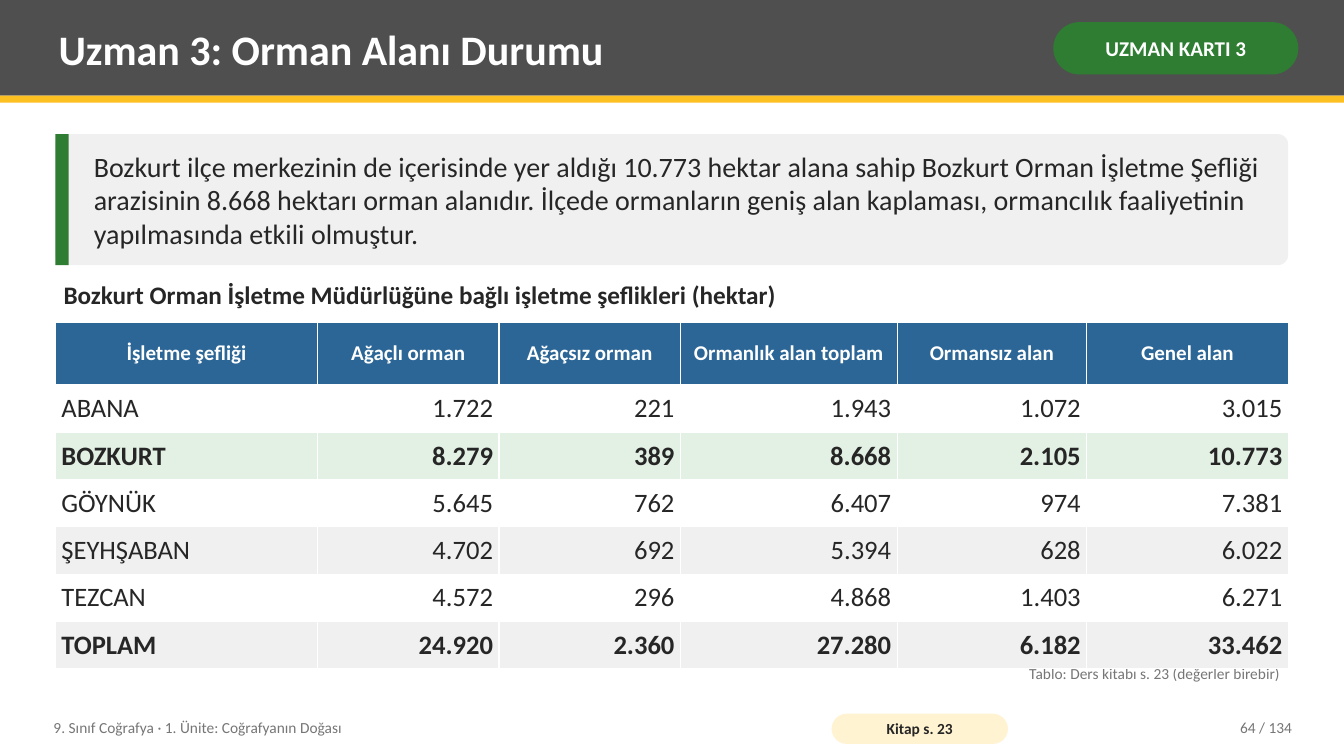
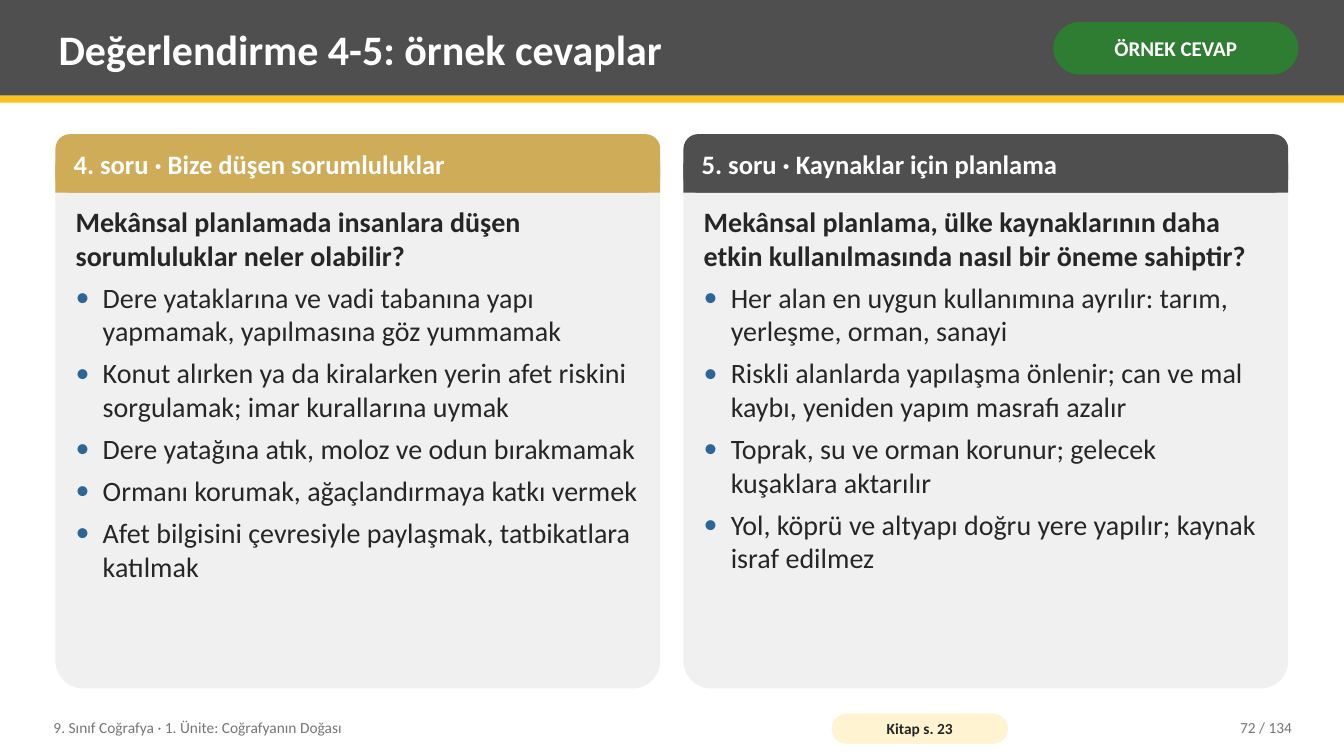
import pptx
import pptx.dml.color
import pptx.enum.shapes
import pptx.enum.text
import pptx.oxml
import pptx.oxml.ns
import pptx.util

Pt = pptx.util.Pt
rgb = pptx.dml.color.RGBColor.from_string
Shape = pptx.enum.shapes.MSO_SHAPE
Align = pptx.enum.text.PP_ALIGN
Anchor = pptx.enum.text.MSO_ANCHOR
NAMESPACE = pptx.oxml.ns.nsdecls("a")

# Shared style
FONT = "Calibri"
DARK, YELLOW, GREEN, BLUE = "4F4F4F", "FCC021", "2E7D32", "2C6696"
GOLD, CREAM, MINT, PALE = "CEAC58", "FFF3D1", "E3F1E4", "F0F0F0"
INK, GREY, WHITE = "262626", "767676", "FFFFFF"
MARGIN, CONTENT_WIDTH, CONTENT_TOP = 39.6, 880.6, 95.8


def add_shape(page, area, fill, rounding=None):
    """Add a plain filled rectangle, rounded when a rounding is given."""
    kind = Shape.RECTANGLE if rounding is None else Shape.ROUNDED_RECTANGLE
    box = page.shapes.add_shape(kind, *map(Pt, area))
    if rounding is not None:
        box.adjustments[0] = rounding
    box.shadow.inherit = False
    box.fill.solid()
    box.fill.fore_color.rgb = rgb(fill)
    box.line.fill.background()
    return box


def write(box, lines, size, color=INK, bold=False, align=Align.LEFT,
          anchor=Anchor.MIDDLE, insets=(5.8, 2.9)):
    """Fill a shape, placeholder or table cell with text in one style."""
    frame = box.text_frame
    frame.text = "\n".join(lines)
    owner = frame if hasattr(frame, "auto_size") and hasattr(box, "shape_type") else box
    owner.margin_left = owner.margin_right = Pt(insets[0])
    owner.margin_top = owner.margin_bottom = Pt(insets[1])
    owner.vertical_anchor = anchor
    if owner is frame:
        frame.word_wrap = True
        frame.auto_size = pptx.enum.text.MSO_AUTO_SIZE.NONE
    for para in frame.paragraphs:
        para.alignment = align
        para.space_before = Pt(0)
        para.font.name = FONT
        para.font.size = Pt(size)
        para.font.bold = bold
        para.font.color.rgb = rgb(color)


deck = pptx.Presentation()
deck.slide_width, deck.slide_height = Pt(960), Pt(540)

# Header and footer of every slide
TITLE_ONLY, TWO_CONTENT = 5, 3
pages = []
for layout, title_text, badge_text, number in [
    (TITLE_ONLY, "Uzman 3: Orman Alanı Durumu", "UZMAN KARTI 3", 64),
    (TWO_CONTENT, "Değerlendirme 4-5: örnek cevaplar", "ÖRNEK CEVAP", 72),
]:
    page = deck.slides.add_slide(deck.slide_layouts[layout])
    pages.append(page)
    add_shape(page, (0, 0, 960, 68.4), DARK)
    add_shape(page, (0, 68.4, 960, 5), YELLOW)

    title = page.shapes.title
    page.shapes.element.append(title.element)  # in front of the band
    title.left, title.top, title.width, title.height = map(Pt, (36, 5, 702, 59))
    write(title, [title_text], 30, WHITE, bold=True)

    badge = add_shape(page, (752.4, 15.8, 175, 37.4), GREEN, 0.5)
    write(badge, [badge_text], 15, WHITE, True, Align.CENTER, insets=(3.6, 1.4))

    for left, width, text, align in [
        (32.4, 547.2, "9. Sınıf Coğrafya · 1. Ünite: Coğrafyanın Doğası", Align.LEFT),
        (813.6, 115.2, f"{number} / 134", Align.RIGHT),
    ]:
        footer = page.shapes.add_textbox(Pt(left), Pt(506.9), Pt(width), Pt(25.9))
        write(footer, [text], 11, GREY, align=align)
    source = add_shape(page, (594, 509.8, 126, 21.6), CREAM, 0.5)
    write(source, ["Kitap s. 23"], 11, INK, True, Align.CENTER, insets=(2.9, 0))

forest_page, answer_page = pages

# Forest slide: introduction, table heading and table source
add_shape(forest_page, (MARGIN, CONTENT_TOP, CONTENT_WIDTH, 93.6), PALE, 0.08)
add_shape(forest_page, (MARGIN, CONTENT_TOP, 9.4, 93.6), GREEN)
introduction = (
    "Bozkurt ilçe merkezinin de içerisinde yer aldığı 10.773 hektar alana sahip "
    "Bozkurt Orman İşletme Şefliği arazisinin 8.668 hektarı orman alanıdır. "
    "İlçede ormanların geniş alan kaplaması, ormancılık faaliyetinin "
    "yapılmasında etkili olmuştur."
)
heading = "Bozkurt Orman İşletme Müdürlüğüne bağlı işletme şeflikleri (hektar)"
table_source = "Tablo: Ders kitabı s. 23 (değerler birebir)"
for area, text, size, color, bold, align, anchor in [
    ((61.2, CONTENT_TOP, 848.2, 93.6), introduction, 20, INK, False, Align.LEFT, Anchor.MIDDLE),
    ((MARGIN, 196.6, CONTENT_WIDTH, 32.4), heading, 18, INK, True, Align.LEFT, Anchor.TOP),
    ((MARGIN, 471.6, CONTENT_WIDTH, 21.6), table_source, 11, GREY, False, Align.RIGHT, Anchor.TOP),
]:
    box = forest_page.shapes.add_textbox(*map(Pt, area))
    write(box, [text], size, color, bold, align, anchor)

# Forest slide: table
rows = [
    ("İşletme şefliği", "Ağaçlı orman", "Ağaçsız orman",
     "Ormanlık alan toplam", "Ormansız alan", "Genel alan"),
    ("ABANA", "1.722", "221", "1.943", "1.072", "3.015"),
    ("BOZKURT", "8.279", "389", "8.668", "2.105", "10.773"),
    ("GÖYNÜK", "5.645", "762", "6.407", "974", "7.381"),
    ("ŞEYHŞABAN", "4.702", "692", "5.394", "628", "6.022"),
    ("TEZCAN", "4.572", "296", "4.868", "1.403", "6.271"),
    ("TOPLAM", "24.920", "2.360", "27.280", "6.182", "33.462"),
]
column_widths = [187.2, 129.6, 129.6, 154.8, 135.4, 144]
row_fills = [BLUE, WHITE, MINT, WHITE, PALE, WHITE, PALE]
bold_rows = {0, 2, 6}
table = forest_page.shapes.add_table(
    len(rows), len(column_widths),
    Pt(MARGIN), Pt(230.4), Pt(CONTENT_WIDTH), Pt(247.4)).table
table.horz_banding = False
for column, width in zip(table.columns, column_widths):
    column.width = Pt(width)
for row_index, values in enumerate(rows):
    is_header = row_index == 0
    table.rows[row_index].height = Pt(44.6 if is_header else 33.8)
    for column_index, value in enumerate(values):
        cell = table.cell(row_index, column_index)
        if is_header:
            align = Align.CENTER
        else:
            align = Align.RIGHT if column_index else Align.LEFT
        write(cell, [value], 15 if is_header else 19, WHITE if is_header else INK,
              row_index in bold_rows, align, insets=(4.3, 3.6))
        properties = cell._tc.get_or_add_tcPr()
        for side in ("lnL", "lnR", "lnT", "lnB"):
            properties.append(pptx.oxml.parse_xml(
                f'<a:{side} {NAMESPACE} w="12192"><a:solidFill>'
                f'<a:srgbClr val="{WHITE}"/></a:solidFill></a:{side}>'))
        cell.fill.solid()
        cell.fill.fore_color.rgb = rgb(row_fills[row_index])

# Answer slide: one card per question
CARD_WIDTH, CARD_HEIGHT, CARD_HEADER = 432, 396, 41.8
cards = [
    ("4. soru · Bize düşen sorumluluklar", GOLD, [
        "Mekânsal planlamada insanlara düşen sorumluluklar neler olabilir?",
        "Dere yataklarına ve vadi tabanına yapı yapmamak, yapılmasına göz yummamak",
        "Konut alırken ya da kiralarken yerin afet riskini sorgulamak; imar kurallarına uymak",
        "Dere yatağına atık, moloz ve odun bırakmamak",
        "Ormanı korumak, ağaçlandırmaya katkı vermek",
        "Afet bilgisini çevresiyle paylaşmak, tatbikatlara katılmak",
    ]),
    ("5. soru · Kaynaklar için planlama", DARK, [
        "Mekânsal planlama, ülke kaynaklarının daha etkin kullanılmasında "
        "nasıl bir öneme sahiptir?",
        "Her alan en uygun kullanımına ayrılır: tarım, yerleşme, orman, sanayi",
        "Riskli alanlarda yapılaşma önlenir; can ve mal kaybı, yeniden yapım masrafı azalır",
        "Toprak, su ve orman korunur; gelecek kuşaklara aktarılır",
        "Yol, köprü ve altyapı doğru yere yapılır; kaynak israf edilmez",
    ]),
]
for index, (card_title, color, lines) in enumerate(cards):
    left = MARGIN + index * (CONTENT_WIDTH - CARD_WIDTH)
    add_shape(answer_page, (left, CONTENT_TOP, CARD_WIDTH, CARD_HEIGHT), PALE, 0.05)
    add_shape(answer_page, (left, CONTENT_TOP, CARD_WIDTH, CARD_HEADER), color, 0.25)
    add_shape(answer_page, (left, CONTENT_TOP + CARD_HEADER / 2, CARD_WIDTH, CARD_HEADER / 2), color)
    label = answer_page.shapes.add_textbox(
        Pt(left + 7.2), Pt(CONTENT_TOP), Pt(CARD_WIDTH - 14.4), Pt(CARD_HEADER))
    write(label, [card_title], 19, WHITE, bold=True)

    body = answer_page.placeholders[index + 1]
    answer_page.shapes.element.append(body.element)  # in front of the card
    body.left, body.top = Pt(left + 8.6), Pt(CONTENT_TOP + 47.5)
    body.width, body.height = Pt(CARD_WIDTH - 17.2), Pt(342.7)
    write(body, lines, 20, anchor=Anchor.TOP)
    for position, para in enumerate(body.text_frame.paragraphs):
        is_question = position == 0
        para.space_after = Pt(6)
        para.font.bold = is_question
        properties = para._p.get_or_add_pPr()
        indent = 0 if is_question else Pt(19.4)
        properties.set("marL", str(indent))
        properties.set("indent", str(-indent))
        bullet = ["<a:buNone {0}/>"] if is_question else [
            f'<a:buClr {{0}}><a:srgbClr val="{BLUE}"/></a:buClr>',
            f'<a:buFont {{0}} typeface="{FONT}"/>',
            '<a:buChar {0} char="•"/>',
        ]
        run_style = properties.find(pptx.oxml.ns.qn("a:defRPr"))
        for element in bullet:
            run_style.addprevious(pptx.oxml.parse_xml(element.format(NAMESPACE)))

deck.save("out.pptx")
